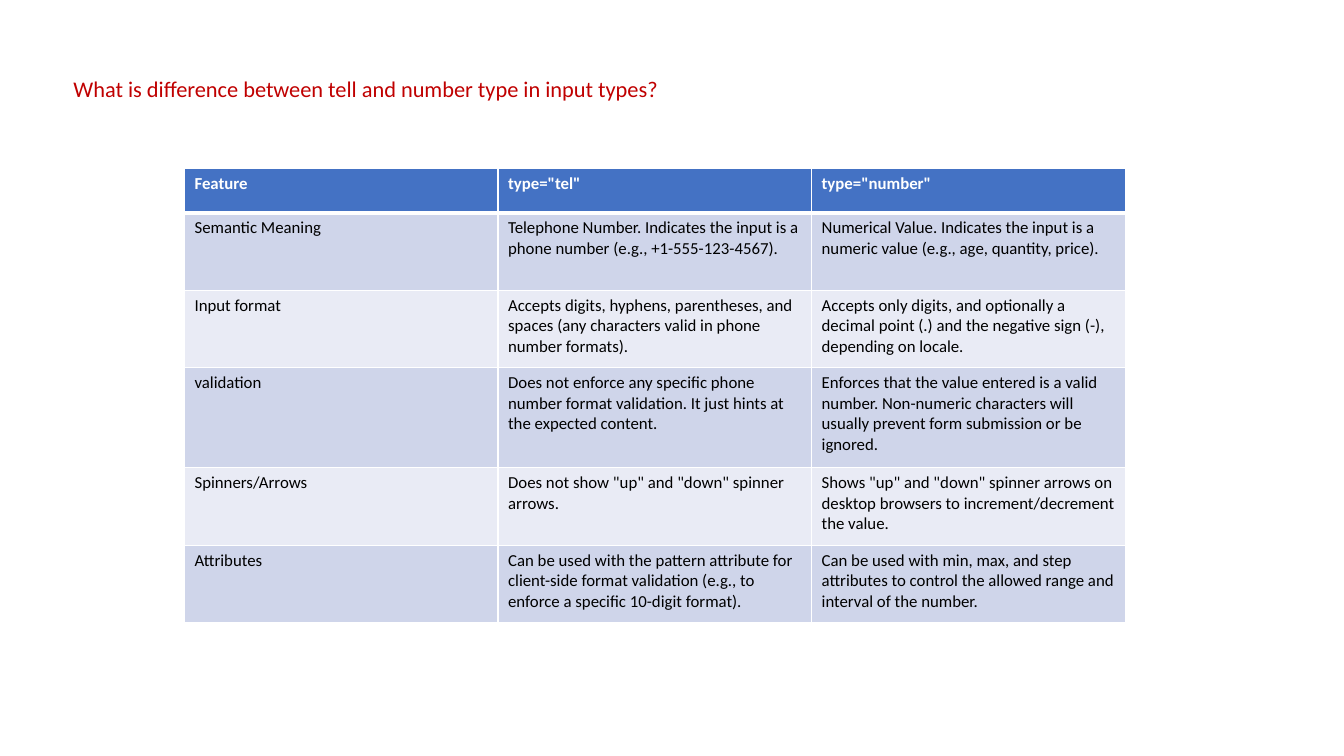
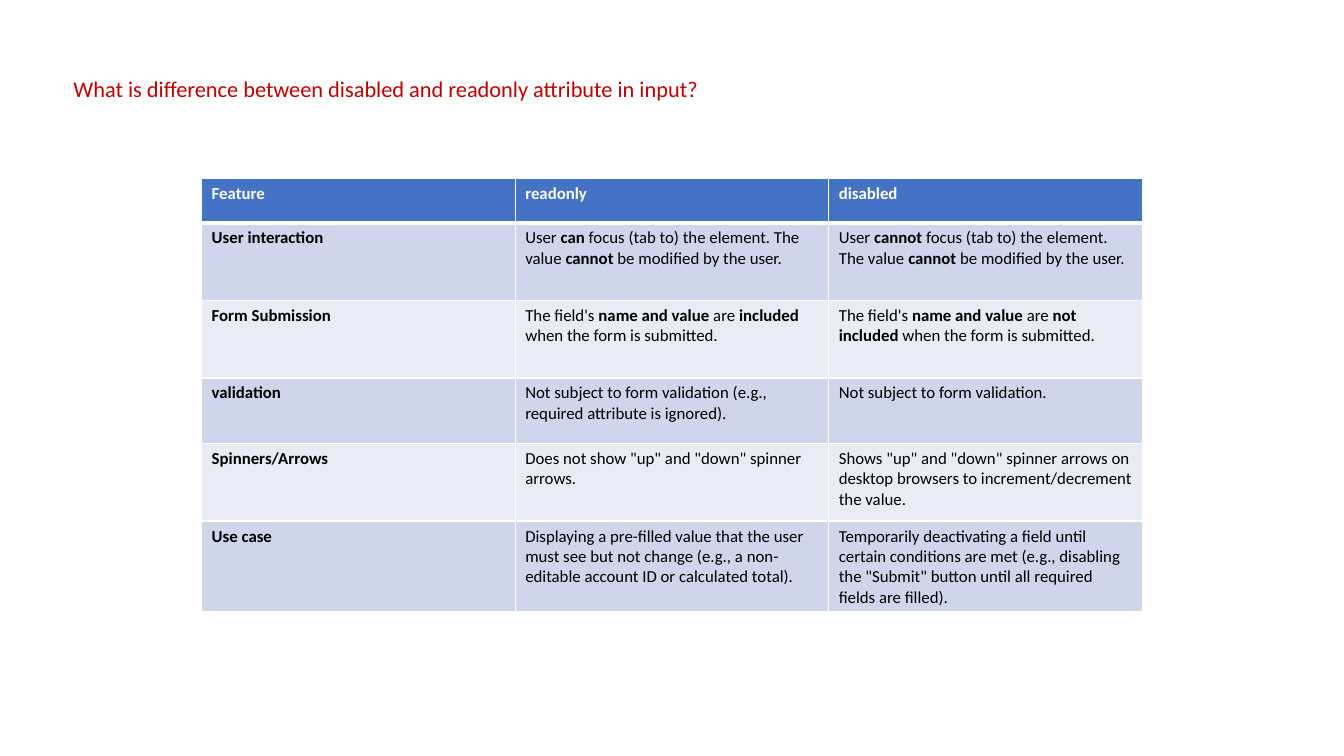
from lxml import etree
from pptx import Presentation
from pptx import util as u
from pptx.dml.color import RGBColor
from pptx.enum import text
from pptx.oxml import ns

RED = RGBColor(0xC0, 0x00, 0x00)
BLUE = RGBColor(0x44, 0x72, 0xC4)
DARK_BAND = RGBColor(0xCF, 0xD5, 0xEA)
LIGHT_BAND = RGBColor(0xE9, 0xEB, 0xF5)
WHITE = RGBColor(0xFF, 0xFF, 0xFF)
BLACK = RGBColor(0x00, 0x00, 0x00)

SPINNER_CELLS = (
    'Does not show "up" and "down" spinner arrows.',
    'Shows "up" and "down" spinner arrows on desktop browsers to increment/decrement the value.',
)
INPUT_TYPES = [
    ("Feature", 'type="tel"', 'type="number"'),
    ("Semantic Meaning",
     "Telephone Number. Indicates the input is a phone number (e.g., +1-555-123-4567).",
     "Numerical Value. Indicates the input is a numeric value (e.g., age, quantity, price)."),
    ("Input format",
     "Accepts digits, hyphens, parentheses, and spaces (any characters valid in phone number formats).",
     "Accepts only digits, and optionally a decimal point (.) and the negative sign (-), depending on locale."),
    ("validation",
     "Does not enforce any specific phone number format validation. It just hints at the expected content.",
     "Enforces that the value entered is a valid number. Non-numeric characters will usually prevent "
     "form submission or be ignored."),
    ("Spinners/Arrows", *SPINNER_CELLS),
    ("Attributes",
     "Can be used with the pattern attribute for client-side format validation "
     "(e.g., to enforce a specific 10-digit format).",
     "Can be used with min, max, and step attributes to control the allowed range and interval of the number."),
]
INPUT_ATTRIBUTES = [
    ("Feature", "readonly", "disabled"),
    ("*User interaction*",
     "User *can* focus (tab to) the element. The value *cannot* be modified by the user.",
     "User *cannot* focus (tab to) the element. The value *cannot* be modified by the user."),
    ("*Form Submission*",
     "The field's *name and value* are *included* when the form is submitted.",
     "The field's *name and value* are *not included* when the form is submitted."),
    ("*validation*",
     "Not subject to form validation (e.g., required attribute is ignored).",
     "Not subject to form validation."),
    ("*Spinners/Arrows*", *SPINNER_CELLS),
    ("*Use case*",
     "Displaying a pre-filled value that the user must see but not change "
     "(e.g., a non-editable account ID or calculated total).",
     "Temporarily deactivating a field until certain conditions are met "
     '(e.g., disabling the "Submit" button until all required fields are filled).'),
]


class Deck:
    font = "Calibri"
    title_size = 16
    cell_size = 12
    column_width = 3.11

    def __init__(self):
        self.presentation = Presentation()
        self.presentation.slide_width = u.Inches(13.33)
        self.presentation.slide_height = u.Inches(7.5)
        self.slide = None

    def add_slide(self):
        self.slide = self.presentation.slides.add_slide(self.presentation.slide_layouts[6])

    def add_run(self, paragraph, content, size, color, bold=False):
        run = paragraph.add_run()
        run.text = content
        run.font.name = self.font
        run.font.size = u.Pt(size)
        run.font.bold = bold
        run.font.color.rgb = color

    def add_title(self, content, width):
        shape = self.slide.shapes.add_textbox(
            u.Inches(0.63), u.Inches(0.56), u.Inches(width), u.Inches(0.46))
        frame = shape.text_frame
        frame.word_wrap = False
        frame.auto_size = text.MSO_AUTO_SIZE.SHAPE_TO_FIT_TEXT
        paragraph = frame.paragraphs[0]
        paragraph.line_spacing = 1.5
        self.add_run(paragraph, content, self.title_size, RED)

    def add_borders(self, cell, top, bottom):
        properties = cell._tc.get_or_add_tcPr()
        for side, points in (("L", 1), ("R", 1), ("T", top), ("B", bottom)):
            line = etree.SubElement(properties, ns.qn(f"a:ln{side}"), w=str(u.Pt(points)))
            fill = etree.SubElement(line, ns.qn("a:solidFill"))
            etree.SubElement(fill, ns.qn("a:srgbClr"), val=str(WHITE))

    def fill_cell(self, cell, content, row_index):
        header = row_index == 0
        self.add_borders(cell, 3 if row_index == 1 else 1, 3 if header else 1)
        cell.fill.solid()
        cell.fill.fore_color.rgb = BLUE if header else (LIGHT_BAND, DARK_BAND)[row_index % 2]
        paragraph = cell.text_frame.paragraphs[0]
        for index, part in enumerate(content.split("*")):
            if part:
                self.add_run(paragraph, part, self.cell_size,
                             WHITE if header else BLACK, header or index % 2 == 1)

    def add_table(self, rows, left, top, heights):
        columns = len(rows[0])
        table = self.slide.shapes.add_table(
            len(rows), columns, u.Inches(left), u.Inches(top),
            u.Inches(columns * self.column_width), u.Inches(sum(heights))).table
        for column in table.columns:
            column.width = u.Inches(self.column_width)
        for row_index, (contents, height) in enumerate(zip(rows, heights)):
            table.rows[row_index].height = u.Inches(height)
            for column_index, content in enumerate(contents):
                self.fill_cell(table.cell(row_index, column_index), content, row_index)
        return table


def main():
    deck = Deck()

    deck.add_slide()
    deck.add_title("What is difference between tell and number type in input types?", 6.12)
    deck.add_table(INPUT_TYPES, 1.83, 1.67, (0.44, 0.77, 0.77, 0.99, 0.77, 0.77))

    deck.add_slide()
    deck.add_title("What is difference between disabled and readonly attribute in input?", 6.41)
    table = deck.add_table(INPUT_ATTRIBUTES, 2, 1.77, (0.44, 0.77, 0.77, 0.65, 0.77, 0.77))
    table.cell(5, 2).vertical_anchor = text.MSO_ANCHOR.MIDDLE

    deck.presentation.save("out.pptx")


if __name__ == "__main__":
    main()
